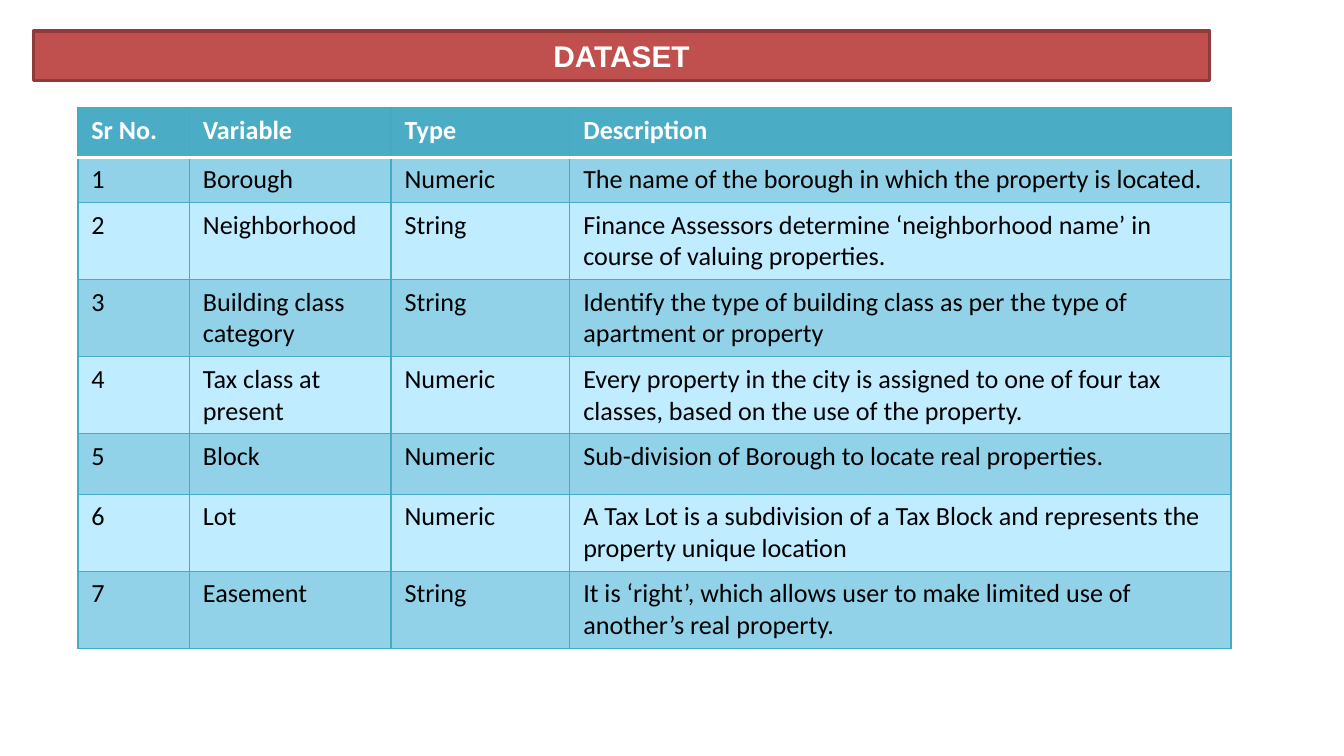
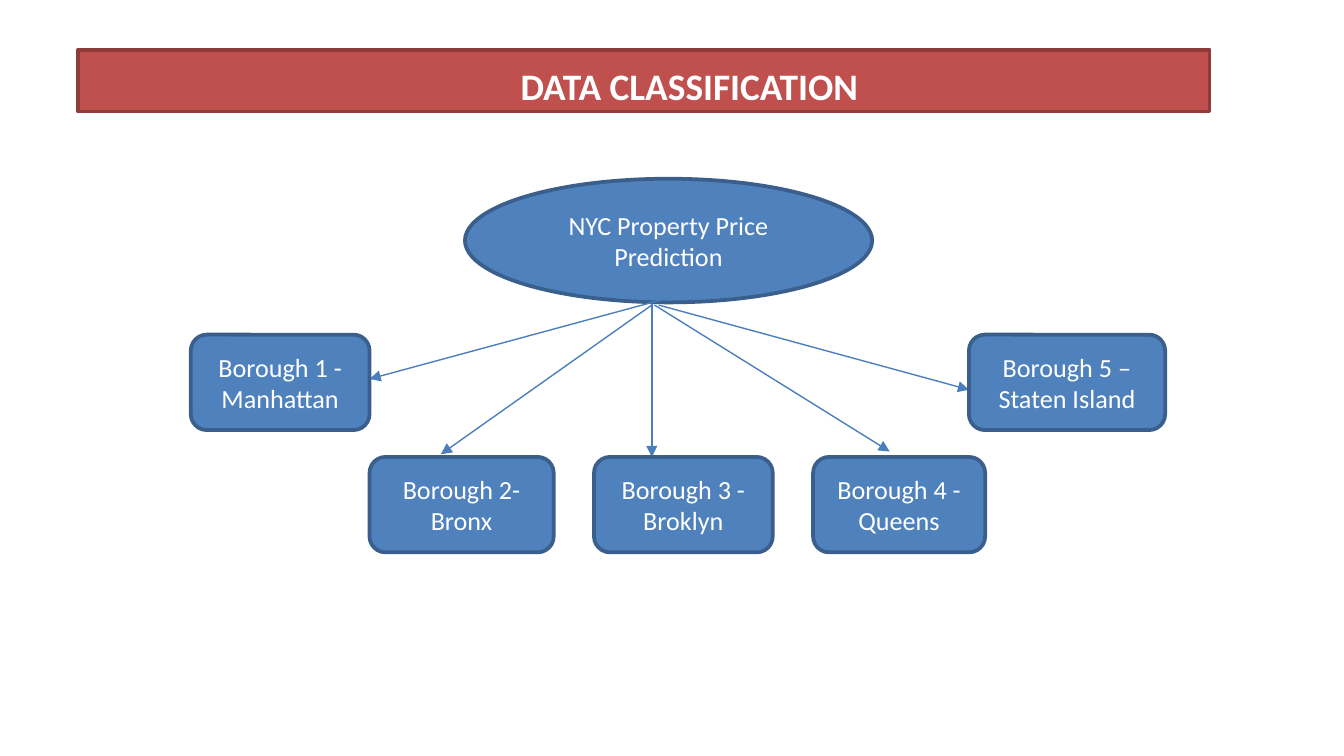
"""Builds two slides: a table of dataset variables and a borough tree."""
from lxml.etree import SubElement as Sub, Element
from pptx import Presentation
from pptx.dml.color import RGBColor as RGB
from pptx.enum.shapes import MSO_CONNECTOR as Conn, MSO_SHAPE as Shape
from pptx.enum.text import MSO_ANCHOR as Anchor, MSO_AUTO_SIZE as Auto, PP_ALIGN as Align
from pptx.oxml.ns import qn
from pptx.util import Inches, Pt

HEX = {
    "white": "FFFFFF", "black": "000000",
    "red": "C0504D", "red edge": "8E3B39",
    "blue": "4F81BD", "blue edge": "3A5F8C", "arrow": "4B7EBC",
    "head": "4BACC6", "grid": "46AAC5", "dark": "92D2E8", "light": "BFECFF",
}

ROWS = [
    ("Sr No.", "Variable", "Type", "Description"),
    ("1", "Borough", "Numeric", "The name of the borough in which the property is located."),
    ("2", "Neighborhood", "String",
     "Finance Assessors determine ‘neighborhood name’ in course of valuing properties."),
    ("3", "Building class category", "String",
     "Identify the type of building class as per the type of apartment or property"),
    ("4", "Tax class at present", "Numeric",
     "Every property in the city is assigned to one of four tax classes, "
     "based on the use of the property."),
    ("5", "Block", "Numeric", "Sub-division of Borough to locate real properties."),
    ("6", "Lot", "Numeric",
     "A Tax Lot is a subdivision of a Tax Block and represents the property unique location"),
    ("7", "Easement", "String",
     "It is ‘right’, which allows user to make limited use of another’s real property."),
]
GRID = (0.58, 0.8, 8.58, 3.99)
WIDTHS = [0.83, 1.5, 1.33, 4.92]
HEIGHTS = [0.37, 0.3, 0.5, 0.5, 0.5, 0.45, 0.5, 0.5]

ROOT = ("NYC Property Price Prediction", (3.46, 1.33, 3.03, 0.92))
HIGH, LOW, TALL = 2.49, 3.4, 0.71
NODES = [
    ("Borough 1 - Manhattan", 1.42, HIGH, 1.33),
    ("Borough 2- Bronx", 2.75, LOW, 1.37),
    ("Borough 3 - Broklyn", 4.42, LOW, 1.33),
    ("Borough 4 - Queens", 6.05, LOW, 1.28),
    ("Borough 5 –\nStaten Island", 7.21, HIGH, 1.46),
]
ARROWS = [
    (5, 2.21, 2.75, 2.82), (4.85, 2.27, 3.28, 3.38), (4.85, 2.26, 4.85, 3.4),
    (4.87, 2.27, 6.62, 3.36), (4.9, 2.27, 7.21, 2.9),
]


def inch(*nums):
    return [Inches(n) for n in nums]


def tint(name):
    return RGB.from_string(HEX[name])


def paint(shape, name):
    shape.fill.solid()
    shape.fill.fore_color.rgb = tint(name)
    shape.line.color.rgb = tint(name + " edge")
    shape.line.width = Pt(2)


def style(frame, size, color="white", bold=False, align=Align.CENTER, face="Calibri"):
    for para in frame.paragraphs:
        para.alignment = align
        font = para.font
        font.name, font.size, font.bold = face, Pt(size), bold
        font.color.rgb = tint(color)


def add_page(deck, text, box, size, face, anchor=Anchor.MIDDLE, pad=(0.1, 0.05)):
    page = deck.slides.add_slide(deck.slide_layouts[5])
    title = page.shapes.title
    title.left, title.top, title.width, title.height = inch(*box)
    paint(title, "red")
    frame = title.text_frame
    frame.text = text
    frame.auto_size, frame.vertical_anchor = Auto.NONE, anchor
    frame.margin_left, frame.margin_top = inch(*pad)
    style(frame, size, bold=True, face=face)
    return page.shapes


def edge(cell, sides):
    props = cell._tc.get_or_add_tcPr()
    for spot, (side, (name, width)) in enumerate(sides.items()):
        line = Element(qn("a:ln" + side), w=str(Pt(width)))
        Sub(Sub(line, qn("a:solidFill")), qn("a:srgbClr"), val=HEX[name])
        props.insert(spot, line)


def add_grid(shapes):
    frame = shapes.add_table(len(ROWS), len(WIDTHS), *inch(*GRID))
    table = frame.table
    table.first_row = table.horz_banding = False
    for col, width in zip(table.columns, WIDTHS):
        col.width = Inches(width)
    thin, thick = ("grid", 0.75), ("white", 2)
    for r, (row, height) in enumerate(zip(ROWS, HEIGHTS)):
        table.rows[r].height = Inches(height)
        head = r == 0
        fill = "head" if head else "dark" if r % 2 else "light"
        for c, text in enumerate(row):
            cell = table.cell(r, c)
            cell.text = text
            style(cell.text_frame, 14, "white" if head else "black", head, Align.LEFT)
            cell.fill.solid()
            cell.fill.fore_color.rgb = tint(fill)
            edge(cell, {"L": thin, "R": thin, "T": thick if r == 1 else thin,
                        "B": thick if head else thin})
    frame.height = Inches(GRID[3])


def add_node(shapes, kind, text, box):
    node = shapes.add_shape(kind, *inch(*box))
    node.shadow.inherit = False
    paint(node, "blue")
    node.text_frame.text = text
    style(node.text_frame, 14)


def add_arrow(shapes, ends):
    arrow = shapes.add_connector(Conn.STRAIGHT, *inch(*ends))
    arrow.line.color.rgb = tint("arrow")
    arrow.line.width = Pt(0.75)
    props = arrow._element.spPr
    Sub(props.find(qn("a:ln")), qn("a:tailEnd"), type="triangle")
    Sub(props, qn("a:effectLst"))


def main():
    deck = Presentation()
    deck.slide_width = Inches(10)
    deck.slide_height = deck.slide_width * 9 // 16

    add_grid(add_page(deck, "DATASET", (0.25, 0.23, 8.75, 0.37), 16, "Arial"))

    tree = add_page(deck, "DATA CLASSIFICATION", (0.58, 0.37, 8.42, 0.46), 20,
                    "Calibri", Anchor.TOP, (0.78, 0.1))
    add_node(tree, Shape.OVAL, *ROOT)
    for ends in ARROWS:
        add_arrow(tree, ends)
    for text, left, top, width in NODES:
        add_node(tree, Shape.ROUNDED_RECTANGLE, text, (left, top, width, TALL))

    deck.save("out.pptx")


if __name__ == "__main__":
    main()
